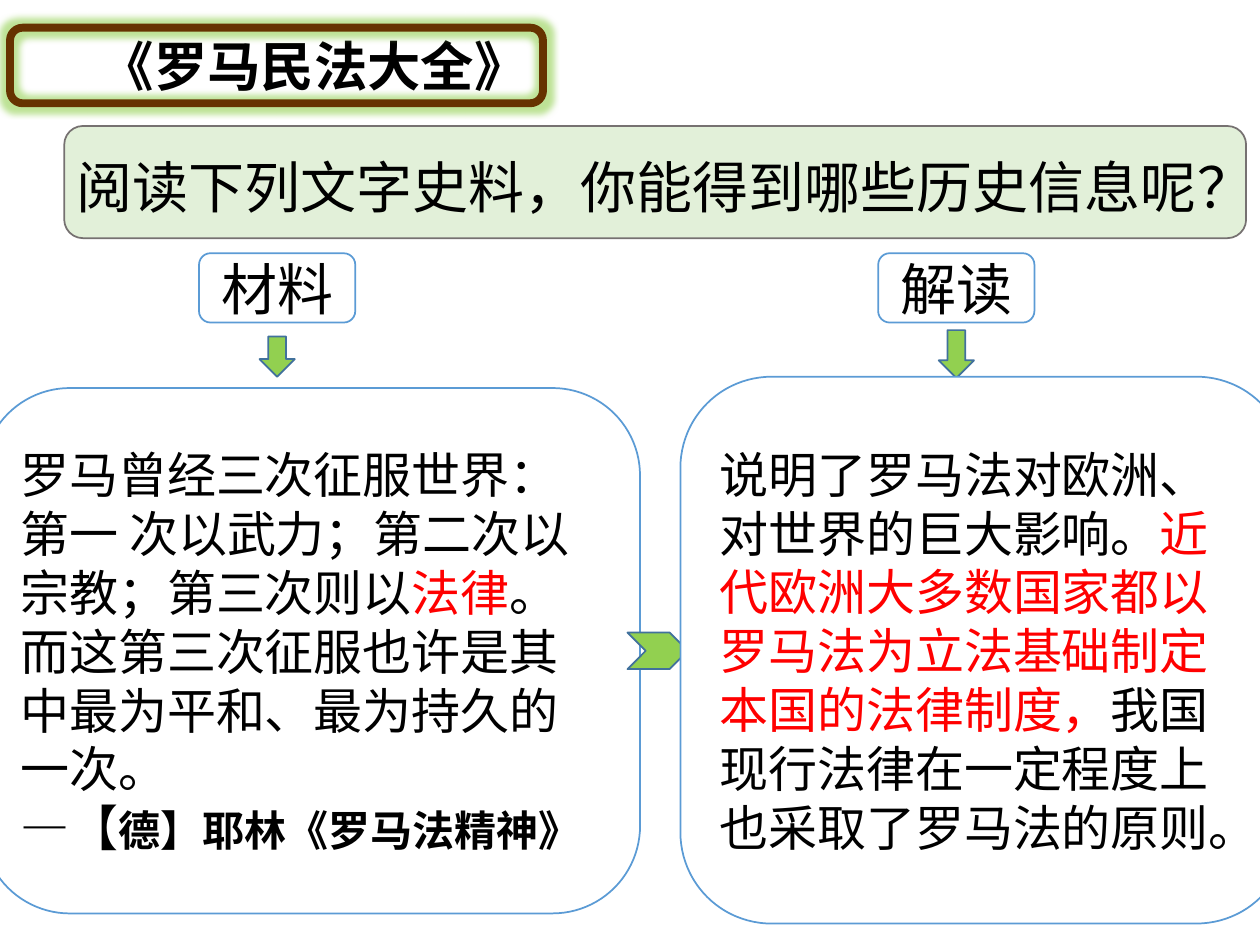
import pptx
import pptx.dml.color
import pptx.enum.shapes
import pptx.enum.text
import pptx.oxml
import pptx.oxml.ns
import pptx.util
import lxml.etree

RGBColor = pptx.dml.color.RGBColor
Shapes = pptx.enum.shapes.MSO_SHAPE
Anchor = pptx.enum.text.MSO_ANCHOR
Align = pptx.enum.text.PP_ALIGN

BLACK = RGBColor(0x00, 0x00, 0x00)
WHITE = RGBColor(0xFF, 0xFF, 0xFF)
RED = RGBColor(0xFF, 0x00, 0x00)
PALE_GREEN = RGBColor(0xE2, 0xF0, 0xD9)
GREEN = RGBColor(0x92, 0xD0, 0x50)
GRAY = RGBColor(0x76, 0x71, 0x71)
BLUE = RGBColor(0x5B, 0x9B, 0xD5)
DARK_BLUE = RGBColor(0x41, 0x71, 0x9C)
BROWN = RGBColor(0x66, 0x33, 0x00)

CHINESE_FONT = "Noto Sans CJK SC"
LATIN_FONT = "Calibri"
PX = 9144  # EMU; 100 px to the inch


def add_text(paragraph, text, size=28, color=BLACK, bold=False, font=CHINESE_FONT):
    run = paragraph.add_run()
    run.text = text
    run.font.size = pptx.util.Pt(size)
    run.font.color.rgb = color
    run.font.bold = bold
    run.font.name = font
    east_asian = lxml.etree.SubElement(run.font._element, pptx.oxml.ns.qn("a:ea"))
    east_asian.set("typeface", CHINESE_FONT)


class SlideBuilder:
    def __init__(self, presentation):
        layout = presentation.slide_layouts.get_by_name("Title Only")
        self.slide = presentation.slides.add_slide(layout)

    def fill_text(self, shape, paragraphs, align=Align.LEFT, anchor=Anchor.MIDDLE):
        """Fill a shape with paragraphs, each a list of (text, format) pairs."""
        frame = shape.text_frame
        frame.word_wrap = True
        frame.auto_size = pptx.enum.text.MSO_AUTO_SIZE.NONE
        frame.vertical_anchor = anchor
        for index, runs in enumerate(paragraphs):
            paragraph = frame.add_paragraph() if index else frame.paragraphs[0]
            paragraph.alignment = align
            for text, text_format in runs:
                add_text(paragraph, text, **text_format)

    def title(self, box, text, **text_format):
        shape = self.slide.shapes.title
        shape.left, shape.top, shape.width, shape.height = (n * PX for n in box)
        self.fill_text(shape, [[(text, text_format)]], anchor=Anchor.TOP)

    def text_box(self, box, text, **text_format):
        shape = self.slide.shapes.add_textbox(*(n * PX for n in box))
        self.fill_text(shape, [[(text, text_format)]], anchor=Anchor.TOP)

    def shape(self, kind, box, fill, line, width=1):
        shape = self.slide.shapes.add_shape(kind, *(n * PX for n in box))
        shape.shadow.inherit = False
        if fill is None:
            shape.fill.background()
        else:
            shape.fill.solid()
            shape.fill.fore_color.rgb = fill
        shape.line.color.rgb = line
        shape.line.width = pptx.util.Pt(width)
        return shape

    def panel(self, box, paragraphs, align=Align.LEFT):
        shape = self.shape(Shapes.ROUNDED_RECTANGLE, box, WHITE, BLUE)
        self.fill_text(shape, paragraphs, align)

    def arrow(self, kind, box):
        self.shape(kind, box, GREEN, DARK_BLUE)

    def glowing_frame(self, box):
        shape = self.shape(Shapes.ROUNDED_RECTANGLE, box, None, BROWN, 4.5)
        effects = shape._element.spPr.find(pptx.oxml.ns.qn("a:effectLst"))
        effects.append(pptx.oxml.parse_xml(
            f'<a:glow {pptx.oxml.ns.nsdecls("a")} rad="{10 * PX}">'
            f'<a:srgbClr val="{GREEN}"><a:alpha val="60000"/></a:srgbClr></a:glow>'))


def main():
    presentation = pptx.Presentation()
    presentation.slide_width = 1000 * PX
    presentation.slide_height = 750 * PX
    builder = SlideBuilder(presentation)

    # Title in its glowing frame
    builder.glowing_frame((8, 22, 423, 60))
    builder.title((70, 21, 701, 61), "《罗马民法大全》", size=30.5, bold=True)

    # Question banner
    builder.shape(Shapes.ROUNDED_RECTANGLE, (51, 100, 938, 89), PALE_GREEN, GRAY)
    builder.text_box((51, 116, 913, 64),
                     "阅读下列文字史料，你能得到哪些历史信息呢？", size=32)

    # Column headings, each with an arrow down to its panel
    for heading, left, arrow_top, arrow_height in (
            ("材料", 158, 267, 32), ("解读", 697, 262, 38)):
        builder.panel((left, 201, 124, 55), [[(heading, {"size": 32})]], Align.CENTER)
        builder.arrow(Shapes.DOWN_ARROW, (left + 48, arrow_top, 28, arrow_height))

    # Source text
    builder.panel((-14, 308, 522, 417), [
        [("罗马曾经三次征服世界：第一 次以武力；第二次以宗教；第三次则以", {}),
         ("法律", {"color": RED}),
         ("。而这第三次征服也许是其中最为平和、最为持久的一次。", {})],
        [("—【", {}),
         ("德】耶林《罗马法精神》", {"size": 24, "bold": True, "font": LATIN_FONT})],
    ])

    # Interpretation, which overlaps the tip of the chevron
    builder.arrow(Shapes.CHEVRON, (498, 502, 48, 29))
    builder.panel((540, 299, 482, 434), [
        [("说明了罗马法对欧洲、对世界的巨大影响。", {}),
         ("近代欧洲大多数国家都以罗马法为立法基础制定本国的法律制度，", {"color": RED}),
         ("我国现行法律在一定程度上也采取了罗马法的原则。", {})],
    ])

    presentation.save("out.pptx")


if __name__ == "__main__":
    main()
